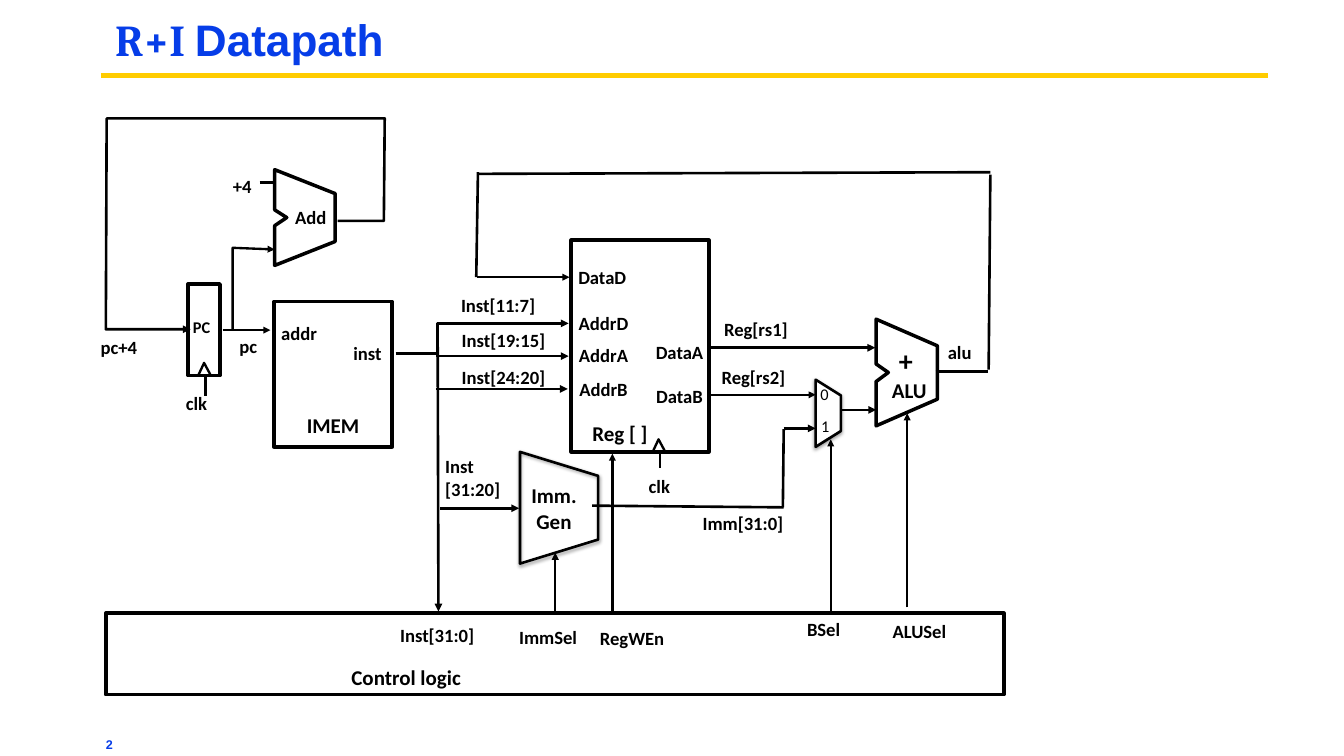
from dataclasses import dataclass

from lxml.etree import SubElement
from pptx import Presentation
from pptx.dml.color import RGBColor
from pptx.enum.shapes import MSO_CONNECTOR, MSO_SHAPE
from pptx.enum.text import MSO_ANCHOR, MSO_AUTO_SIZE, PP_ALIGN
from pptx.oxml.ns import qn
from pptx.util import Cm, Pt


@dataclass(frozen=True)
class Theme:
    ink: str = "000000"
    paper: str = "FFFFFF"
    blue: str = "063DE8"
    gold: str = "FFCC00"
    font: str = "Calibri"
    head: str = "Arial"
    serif: str = "Cambria"
    title: float = 37.8
    name: float = 18
    label: float = 16
    small: float = 14
    page: float = 10.8
    plus: float = 24
    thin: float = 2
    wire: float = 2.25
    edge: float = 3
    rule: float = 4.5


def cm(inch):
    return Cm(inch * 2.54)


def write(para, words, size, font, color, bold=True):
    run = para.add_run()
    run.text = words
    run.font.size = Pt(size)
    run.font.name = font
    run.font.bold = bold
    run.font.color.rgb = RGBColor.from_string(color)


def inset(frame, side, top):
    frame.margin_left = frame.margin_right = cm(side)
    frame.margin_top = frame.margin_bottom = cm(top)


class Board:
    def __init__(self, deck, theme):
        self.theme = theme
        self.slide = deck.slides.add_slide(deck.slide_layouts[5])
        self.shapes = self.slide.shapes

    def title(self, parts, left, top, width, height):
        box = self.shapes.title
        box.left, box.top, box.width, box.height = map(cm, (left, top, width, height))
        frame = box.text_frame
        frame.auto_size = MSO_AUTO_SIZE.NONE
        frame.vertical_anchor = MSO_ANCHOR.TOP
        inset(frame, 0.03, 0.03)
        para = frame.paragraphs[0]
        para.alignment = PP_ALIGN.LEFT
        para.line_spacing = 0.87
        for words, font in parts:
            write(para, words, self.theme.title, font, self.theme.blue)

    def text(self, words, left, top, width, height=0.34, size=None, font=None,
             color=None, bold=True, align=PP_ALIGN.CENTER, pad=(0.07, 0.04)):
        box = self.shapes.add_textbox(*map(cm, (left, top, width, height)))
        frame = box.text_frame
        frame.word_wrap = False
        frame.auto_size = MSO_AUTO_SIZE.SHAPE_TO_FIT_TEXT
        inset(frame, *pad)
        for i, line in enumerate(words.split("\n")):
            para = frame.add_paragraph() if i else frame.paragraphs[0]
            para.alignment = align
            write(para, line, size or self.theme.label, font or self.theme.font,
                  color or self.theme.ink, bold)

    def style(self, shape, width, filled):
        shape.shadow.inherit = False
        self.stroke(shape, width)
        if filled:
            shape.fill.solid()
            shape.fill.fore_color.rgb = RGBColor.from_string(self.theme.paper)
        else:
            shape.fill.background()

    def stroke(self, shape, width, color=None):
        shape.line.width = Pt(width)
        shape.line.color.rgb = RGBColor.from_string(color or self.theme.ink)

    def block(self, left, top, width, height, filled=True):
        box = self.shapes.add_shape(MSO_SHAPE.RECTANGLE, *map(cm, (left, top, width, height)))
        self.style(box, self.theme.edge, filled)

    def trap(self, left, top, width, height, slant, filled):
        box = self.shapes.add_shape(MSO_SHAPE.TRAPEZOID, *map(cm, (left, top, width, height)))
        box.adjustments[0] = slant
        box.rotation = 90
        self.style(box, self.theme.wire, filled)
        glow = box._element.spPr.find(qn("a:effectLst"))
        cast = SubElement(glow, qn("a:outerShdw"), blurRad=str(Pt(3.1)),
                          dist=str(Pt(1.6)), dir="5400000", rotWithShape="0")
        tint = SubElement(cast, qn("a:srgbClr"), val=self.theme.ink)
        SubElement(tint, qn("a:alpha"), val="38000")

    def shape(self, points, width, closed=False):
        first, *rest = [(cm(x), cm(y)) for x, y in points]
        pen = self.shapes.build_freeform(*first)
        pen.add_line_segments(rest, close=closed)
        form = pen.convert_to_shape()
        self.style(form, width, closed)
        return form

    def adder(self, left, top, width, height):
        notch = [(0, 0), (0, 0.42), (0.2, 0.5), (0, 0.585), (0, 1), (1, 0.75), (1, 0.25)]
        self.shape([(left + x * width, top + y * height) for x, y in notch],
                   self.theme.edge, closed=True)

    def clock(self, left, base):
        self.shape([(left, base), (left + 0.07, base - 0.15), (left + 0.15, base)],
                   self.theme.thin)

    def wire(self, *points, width=None, arrow=False, color=None):
        width = width or self.theme.wire
        if len(points) > 2:
            line = self.shape(points, width)
        else:
            ends = [cm(v) for point in points for v in point]
            line = self.shapes.add_connector(MSO_CONNECTOR.STRAIGHT, *ends)
            self.stroke(line, width, color)
            SubElement(line._element.spPr, qn("a:effectLst"))
        if arrow:
            SubElement(line.line._get_or_add_ln(), qn("a:tailEnd"), type="triangle")


def main():
    theme = Theme()
    deck = Presentation()
    deck.slide_width, deck.slide_height = cm(16), cm(9)
    board = Board(deck, theme)
    thin = theme.thin

    board.wire((1.2, 0.9), (15.1, 0.9), width=theme.rule, color=theme.gold)
    board.title([("R+I ", theme.serif), ("Datapath", theme.head)], 1.34, 0.2, 10.12, 0.7)
    board.text("2", 1.23, 8.74, 8.69, 0.23, size=theme.page, font=theme.head,
               color=theme.blue, align=PP_ALIGN.LEFT, pad=(0.03, 0.03))

    for box in [(6.8, 2.86, 1.64, 2.52), (3.26, 3.59, 1.41, 1.73), (2.24, 3.38, 0.38, 1.09)]:
        board.block(*box)
    board.block(1.26, 7.3, 10.69, 0.97, filled=False)
    board.adder(10.43, 3.8, 0.73, 1.27)
    board.adder(3.27, 2.02, 0.72, 1.14)
    board.trap(9.46, 4.77, 0.8, 0.3, 0.627, filled=True)
    board.trap(5.99, 5.58, 1.33, 0.93, 0.307, filled=False)
    board.clock(7.77, 5.38)
    board.clock(2.36, 4.47)

    for ends in [
        ((4.71, 4.21), (5.19, 4.21)), ((3.09, 2.17), (3.26, 2.17)),
        ((11.14, 4.42), (11.76, 4.42)), ((11.79, 2.08), (11.77, 4.4)),
        ((5.69, 2.07), (11.79, 2.05)), ((5.69, 2.05), (5.67, 3.3)),
        ((9.33, 5.11), (9.32, 6.04)), ((7.05, 6.02), (9.33, 6.04)),
        ((2.45, 4.47), (2.45, 4.71)),
    ]:
        board.wire(*ends)
    board.wire((7.86, 5.38), (7.86, 5.57), width=thin)

    for path in [
        ((5.21, 4.25), (5.21, 3.85), (6.77, 3.85)), ((5.21, 4.24), (6.77, 4.24)),
        ((5.19, 4.63), (6.76, 4.63)), ((5.21, 3.85), (5.22, 7.28)),
        ((8.46, 4.14), (10.42, 4.14)), ((10, 4.88), (10.43, 4.88)),
        ((9.33, 5.1), (9.71, 5.1)), ((5.24, 6.05), (6.18, 6.05)),
        ((4.02, 2.63), (4.57, 2.63), (4.58, 1.41), (1.27, 1.41), (1.26, 3.92), (2.27, 3.92)),
    ]:
        board.wire(*path, arrow=True)
    for path in [
        ((8.46, 4.7), (9.71, 4.7)), ((5.68, 3.3), (6.78, 3.3)),
        ((2.65, 3.93), (3.22, 3.93)), ((2.77, 3.94), (2.77, 2.95), (3.27, 2.97)),
        ((7.29, 7.3), (7.29, 5.4)), ((10.8, 7.23), (10.8, 4.92)),
        ((9.89, 7.28), (9.89, 5.23)), ((6.61, 7.3), (6.61, 6.58)),
    ]:
        board.wire(*path, width=thin, arrow=True)

    for label in [
        ("Inst[11:7]", 5.36, 3.46, 1.14), ("Inst[19:15]", 5.36, 3.88, 1.27),
        ("Inst[24:20]", 5.36, 4.32, 1.27), ("Inst[31:0]", 4.63, 7.39, 1.15),
        ("DataD", 6.77, 3.13, 0.8), ("AddrD", 6.77, 3.67, 0.83),
        ("AddrA", 6.77, 4.05, 0.83), ("AddrB", 6.77, 4.46, 0.83),
        ("DataA", 7.69, 4.02, 0.8), ("DataB", 7.69, 4.54, 0.8),
        ("Reg[rs1]", 8.47, 3.75, 1.06), ("Reg[rs2]", 8.44, 4.32, 1.06),
        ("alu", 11.19, 4.02, 0.47), ("Imm[31:0]", 8.24, 6.05, 1.21),
        ("ImmSel", 6.05, 7.41, 0.95), ("RegWEn", 6.99, 7.42, 1.07),
        ("BSel", 9.48, 7.31, 0.65), ("ALUSel", 10.47, 7.34, 0.95),
        ("clk", 7.62, 5.61, 0.46), ("clk", 2.11, 4.62, 0.46),
        ("+4", 2.68, 2.04, 0.41), ("Add", 3.41, 2.41, 0.58),
        ("addr", 3.24, 3.79, 0.64), ("inst", 4.1, 4.03, 0.55),
        ("pc+4", 1.08, 3.96, 0.67), ("pc", 2.75, 3.95, 0.41),
    ]:
        board.text(*label)
    for label in [
        ("ALU", 10.49, 4.45, 0.67, 0.38), ("Reg [ ]", 6.91, 4.97, 0.94, 0.38),
        ("Control logic", 3.98, 7.87, 1.71, 0.38), ("IMEM", 3.56, 4.87, 0.81, 0.38),
    ]:
        board.text(*label, size=theme.name)
    board.text("Imm.\nGen", 6.2, 5.7, 0.79, 0.71, size=theme.name, pad=(0.1, 0.05))
    board.text("Inst\n[31:20]", 5.23, 5.38, 0.87, 0.61, align=PP_ALIGN.LEFT)
    board.text("+", 10.61, 4.05, 0.35, 0.48, size=theme.plus)
    board.text("PC", 2.19, 3.74, 0.42, 0.31, size=theme.small)
    for digit in [("0", 9.76, 4.57, 0.11, 0.24), ("1", 9.77, 4.95, 0.11, 0.24)]:
        board.text(*digit, size=theme.small, bold=False, pad=(0, 0))

    deck.save("out.pptx")


if __name__ == "__main__":
    main()
